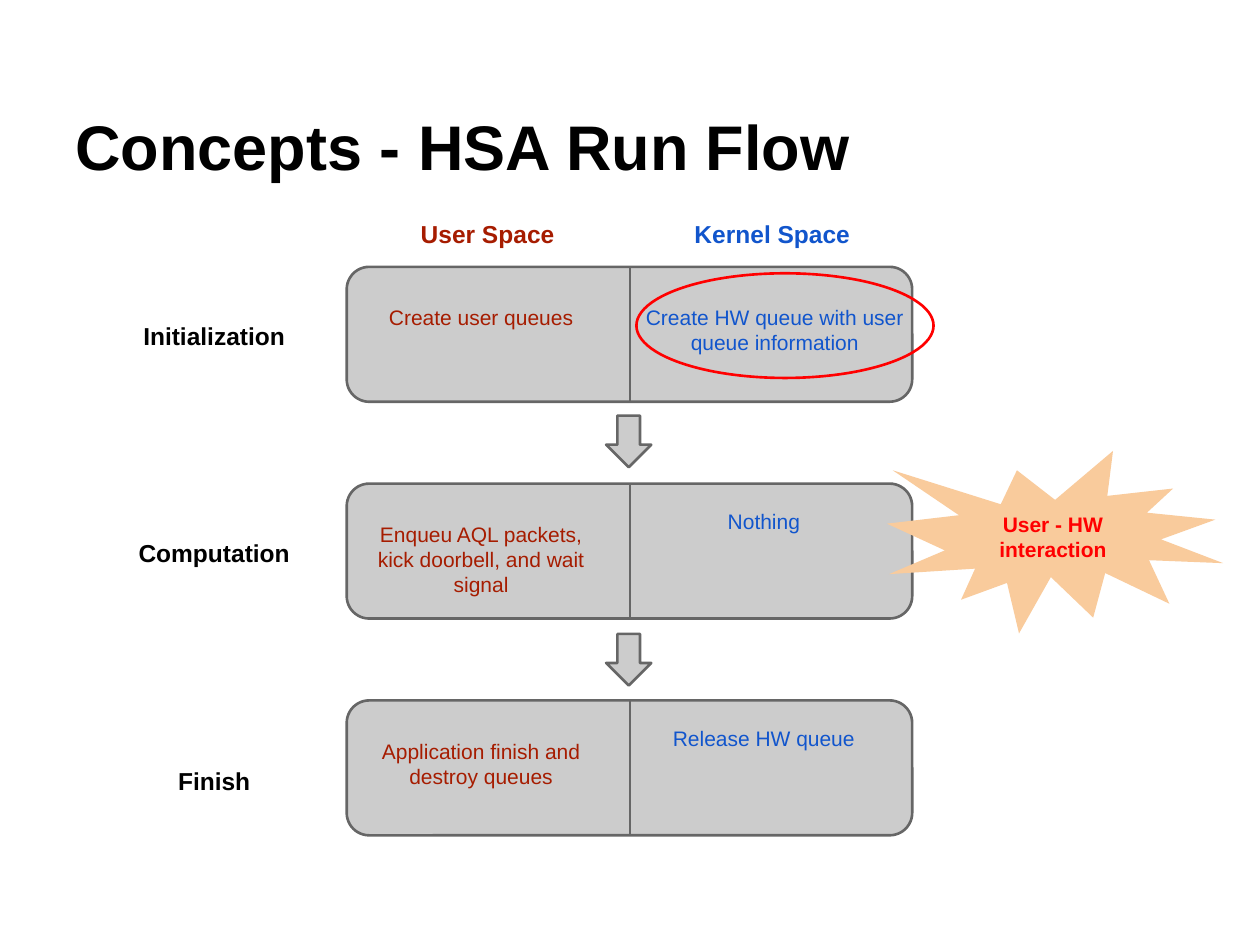
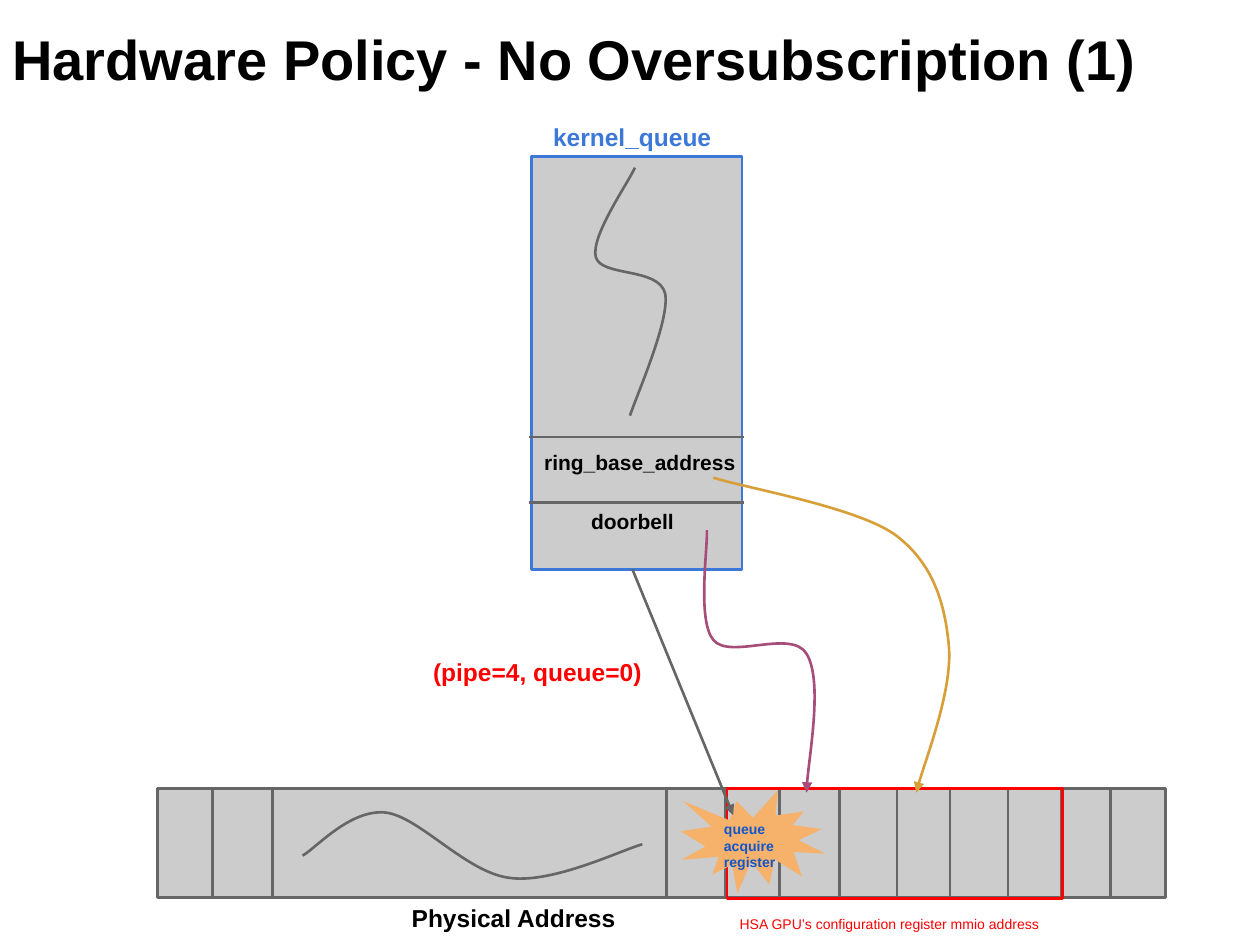
from dataclasses import dataclass
from itertools import chain

from lxml.etree import SubElement
from pptx import Presentation
from pptx.dml.color import RGBColor
from pptx.enum.shapes import MSO_CONNECTOR, MSO_SHAPE
from pptx.enum.text import MSO_ANCHOR, PP_ALIGN
from pptx.oxml.ns import qn
from pptx.util import Cm, Pt

# ---- Content; places are (left, top, width, height) in centimetres ----

FLOW_TITLE = "Concepts - HSA Run Flow"
USER_HEADING, KERNEL_HEADING = "User Space", "Kernel Space"
# Stage, label top, (user text, lines down), (kernel text, lines down), kernel text width
STAGES = [
    ("Initialization", 6.22, ("Create user queues", 2),
     ("Create HW queue with user queue information", 1), 6),
    ("Computation", 10.59, ("Enqueu AQL packets, kick doorbell, and wait signal", 1),
     ("Nothing", 1), 5.56),
    ("Finish", 15.19, ("Application finish and destroy queues", 1),
     ("Release HW queue", 1), 5.56),
]
INTERACTION = "User - HW interaction"

POLICY_TITLE = "Hardware Policy - No Oversubscription (1)"
QUEUE_NAME = "kernel_queue"
QUEUE_FIELDS = [("doorbell", (10.59, 10.01, 4.32, 1.45)),
                ("ring_base_address", (10.59, 8.81, 4.62, 1.45))]
QUEUE_DIVIDERS = [10.13, 8.81]
QUEUE_SLOT = "(pipe=4, queue=0)"
ACQUIRE_REGISTER = "queue acquire register"
MEMORY_NAME = "Physical Address"
REGISTERS_NAME = "HSA GPU’s configuration register mmio address"
MEMORY_DIVIDERS = [4.29, 5.49, 13.44, 14.63, 15.72, 16.92,
                   18.08, 19.15, 20.32, 21.39, 22.38]

# Curves: a start, then two control points and an end for each segment
MEMORY_WAVE = [(6.1, 17.25),
               (6.38, 17.09), (7.06, 16.31), (7.77, 16.38),
               (8.46, 16.46), (9.4, 17.6), (10.29, 17.7),
               (11.15, 17.81), (12.5, 17.15), (12.95, 17.02)]
QUEUE_WAVE = [(12.8, 3.38),
              (12.67, 3.68), (11.91, 4.75), (12.01, 5.18),
              (12.12, 5.59), (13.28, 5.38), (13.41, 5.92),
              (13.51, 6.45), (12.83, 7.98), (12.7, 8.38)]
DOORBELL_ROUTE = [(14.25, 10.69),
                  (14.27, 11.05), (14.05, 12.5), (14.38, 12.9),
                  (14.71, 13.31), (15.95, 12.67), (16.26, 13.18),
                  (16.59, 13.72), (16.26, 15.52), (16.26, 15.98)]
RING_ROUTE = [(14.38, 9.63),
              (14.99, 9.83), (17.22, 10.21), (18.03, 10.77),
              (18.82, 11.35), (19.05, 12.17), (19.13, 13.03),
              (19.2, 13.89), (18.59, 15.49), (18.47, 15.98)]


@dataclass(frozen=True)
class Theme:
    font: str = "Arial"
    ink: str = "000000"
    panel: str = "CCCCCC"
    outline: str = "666666"
    user: str = "A61C00"
    kernel: str = "1155CC"
    queue: str = "3C78D8"
    alert: str = "FF0000"
    burst_light: str = "F9CB9C"
    burst: str = "F6B26B"
    doorbell: str = "A64D79"
    ring: str = "D89F39"
    flow_title: int = 36
    policy_title: int = 32
    heading: int = 14
    body: int = 12
    small: int = 8
    stroke: float = 1.5
    inset: float = 0.25


THEME = Theme()


# ---- Drawing helpers ----

def write_text(shape, text, *, size=THEME.body, color=THEME.ink, bold=False,
               align=PP_ALIGN.LEFT, anchor=MSO_ANCHOR.TOP,
               top_inset=THEME.inset, bottom_inset=THEME.inset):
    frame = shape.text_frame
    frame.word_wrap = True
    frame.vertical_anchor = anchor
    frame.margin_left = frame.margin_right = Cm(THEME.inset)
    frame.margin_top, frame.margin_bottom = Cm(top_inset), Cm(bottom_inset)
    paragraph = frame.paragraphs[0]
    paragraph.text = text
    paragraph.alignment = align
    font = paragraph.font
    font.name, font.size, font.bold = THEME.font, Pt(size), bold
    font.color.rgb = RGBColor.from_string(color)


def add_text(slide, text, place, **style):
    write_text(slide.shapes.add_textbox(*map(Cm, place)), text, **style)


def add_title(slide, text, place, size, bottom_inset=THEME.inset):
    add_text(slide, text, place, size=size, bold=True,
             anchor=MSO_ANCHOR.BOTTOM, bottom_inset=bottom_inset)


def paint_line(shape, color, arrow=False):
    shape.line.color.rgb = RGBColor.from_string(color)
    shape.line.width = Pt(THEME.stroke)
    if arrow:
        line = shape.element.spPr.find(qn("a:ln"))
        SubElement(line, qn("a:tailEnd"), type="triangle")


def add_figure(slide, kind, place, fill=None, outline=None):
    shape = slide.shapes.add_shape(kind, *map(Cm, place))
    shape.shadow.inherit = False
    if fill:
        shape.fill.solid()
        shape.fill.fore_color.rgb = RGBColor.from_string(fill)
    else:
        shape.fill.background()
    if outline:
        paint_line(shape, outline)
    else:
        shape.line.fill.background()
    return shape


def add_line(slide, start, end, color=THEME.outline, arrow=False):
    connector = slide.shapes.add_connector(
        MSO_CONNECTOR.STRAIGHT, *map(Cm, chain(start, end)))
    paint_line(connector, color, arrow)
    SubElement(connector.element.spPr, qn("a:effectLst"))


def add_curve(slide, points, color=THEME.outline, arrow=False):
    start, *others = [(Cm(x), Cm(y)) for x, y in points]
    builder = slide.shapes.build_freeform(*start)
    builder.add_line_segments(others, close=False)
    shape = builder.convert_to_shape()
    shape.shadow.inherit = False
    shape.fill.background()
    paint_line(shape, color, arrow)
    # Join each three straight steps into one Bézier segment
    outline = next(shape.element.iter(qn("a:path")))
    steps = outline.findall(qn("a:lnTo"))
    for first in range(0, len(steps), 3):
        segment = SubElement(outline, qn("a:cubicBezTo"))
        for step in steps[first:first + 3]:
            segment.append(step[0])
            outline.remove(step)


# ---- Slides ----

def build_run_flow(slide):
    panel_left, panel_top, panel_width, panel_height = 6.99, 5.38, 11.4, 2.72
    pitch, middle, line_height = 4.37, 12.7, 0.51
    user_left, user_width, kernel_left, text_height = 7.06, 5.28, 12.62, 3.18
    heading_width, heading_height = 5.74, 1.04
    heading = dict(size=THEME.heading, bold=True, align=PP_ALIGN.CENTER)

    add_title(slide, FLOW_TITLE, (1.27, 0.76, 22.86, 3.18), THEME.flow_title)

    # Stage panels, split into user and kernel halves
    for row, (stage, label_top, user, kernel, kernel_width) in enumerate(STAGES):
        top = panel_top + row * pitch
        add_figure(slide, MSO_SHAPE.ROUNDED_RECTANGLE,
                   (panel_left, top, panel_width, panel_height),
                   THEME.panel, THEME.outline)
        for (text, lines_down), left, width, color in (
                (user, user_left, user_width, THEME.user),
                (kernel, kernel_left, kernel_width, THEME.kernel)):
            add_text(slide, text, (left, top, width, text_height), color=color,
                     align=PP_ALIGN.CENTER,
                     top_inset=THEME.inset + lines_down * line_height)
        add_line(slide, (middle, top + panel_height), (middle, top))
        add_text(slide, stage, (1.45, label_top, heading_width, heading_height),
                 **heading)

    # Arrows between the stages
    for gap in range(len(STAGES) - 1):
        add_figure(slide, MSO_SHAPE.DOWN_ARROW, (12.22, 8.38 + gap * 4.4, 0.91, 1.04),
                   THEME.panel, THEME.outline)

    # Column headings
    for text, left, color in ((USER_HEADING, middle - heading_width, THEME.user),
                              (KERNEL_HEADING, middle, THEME.kernel)):
        add_text(slide, text, (left, 4.17, heading_width, heading_height),
                 color=color, **heading)

    # Highlights
    burst = add_figure(slide, MSO_SHAPE.EXPLOSION1, (17.88, 9.09, 6.78, 3.68),
                       THEME.burst_light)
    write_text(burst, INTERACTION, color=THEME.alert, bold=True,
               align=PP_ALIGN.CENTER, anchor=MSO_ANCHOR.MIDDLE)
    add_figure(slide, MSO_SHAPE.OVAL, (12.83, 5.51, 5.99, 2.11), outline=THEME.alert)


def build_hardware_policy(slide):
    memory_top, memory_height = 15.9, 2.19
    label = dict(size=THEME.heading, bold=True)

    # Physical memory bar and its register range
    add_figure(slide, MSO_SHAPE.RECTANGLE, (3.18, memory_top, 20.32, memory_height),
               THEME.panel, THEME.outline)
    for x in MEMORY_DIVIDERS:
        add_line(slide, (x, memory_top), (x, memory_top + memory_height))
    add_curve(slide, MEMORY_WAVE)
    add_figure(slide, MSO_SHAPE.RECTANGLE, (14.66, memory_top, 6.76, 2.21),
               outline=THEME.alert)
    add_text(slide, REGISTERS_NAME, (14.66, 18.29, 6.76, 0.76),
             size=THEME.small, color=THEME.alert)

    # Kernel queue structure
    add_figure(slide, MSO_SHAPE.RECTANGLE, (10.72, 3.15, 4.24, 8.33),
               THEME.panel, THEME.queue)
    for y in QUEUE_DIVIDERS:
        add_line(slide, (10.67, y), (15, y))
    for text, place in QUEUE_FIELDS:
        add_text(slide, text, place, bold=True, align=PP_ALIGN.CENTER)
    add_curve(slide, QUEUE_WAVE)

    # Acquire register; uneven insets set its text a little low
    burst = add_figure(slide, MSO_SHAPE.EXPLOSION1, (13.72, 15.93, 2.92, 2.08),
                       THEME.burst)
    write_text(burst, ACQUIRE_REGISTER, size=THEME.small, color=THEME.kernel,
               bold=True, anchor=MSO_ANCHOR.MIDDLE, top_inset=0.39, bottom_inset=0.11)

    # Title and labels
    add_text(slide, MEMORY_NAME, (8.05, 17.96, 6.3, 0.94), **label)
    add_title(slide, POLICY_TITLE, (0, 0, 25.4, 3.18), THEME.policy_title,
              bottom_inset=1.57)
    add_text(slide, QUEUE_SLOT, (8.48, 13, 5.46, 0.69), color=THEME.alert, **label)
    add_text(slide, QUEUE_NAME, (10.9, 2.21, 4.01, 0.94), color=THEME.queue, **label)

    # Arrows from the queue into memory
    add_line(slide, (12.75, 11.48), (14.78, 16.43), arrow=True)
    add_curve(slide, DOORBELL_ROUTE, THEME.doorbell, arrow=True)
    add_curve(slide, RING_ROUTE, THEME.ring, arrow=True)


def main():
    presentation = Presentation()
    presentation.slide_width, presentation.slide_height = Cm(25.4), Cm(19.05)
    blank = presentation.slide_layouts[6]
    for build in (build_run_flow, build_hardware_policy):
        build(presentation.slides.add_slide(blank))
    presentation.save("out.pptx")


if __name__ == "__main__":
    main()
